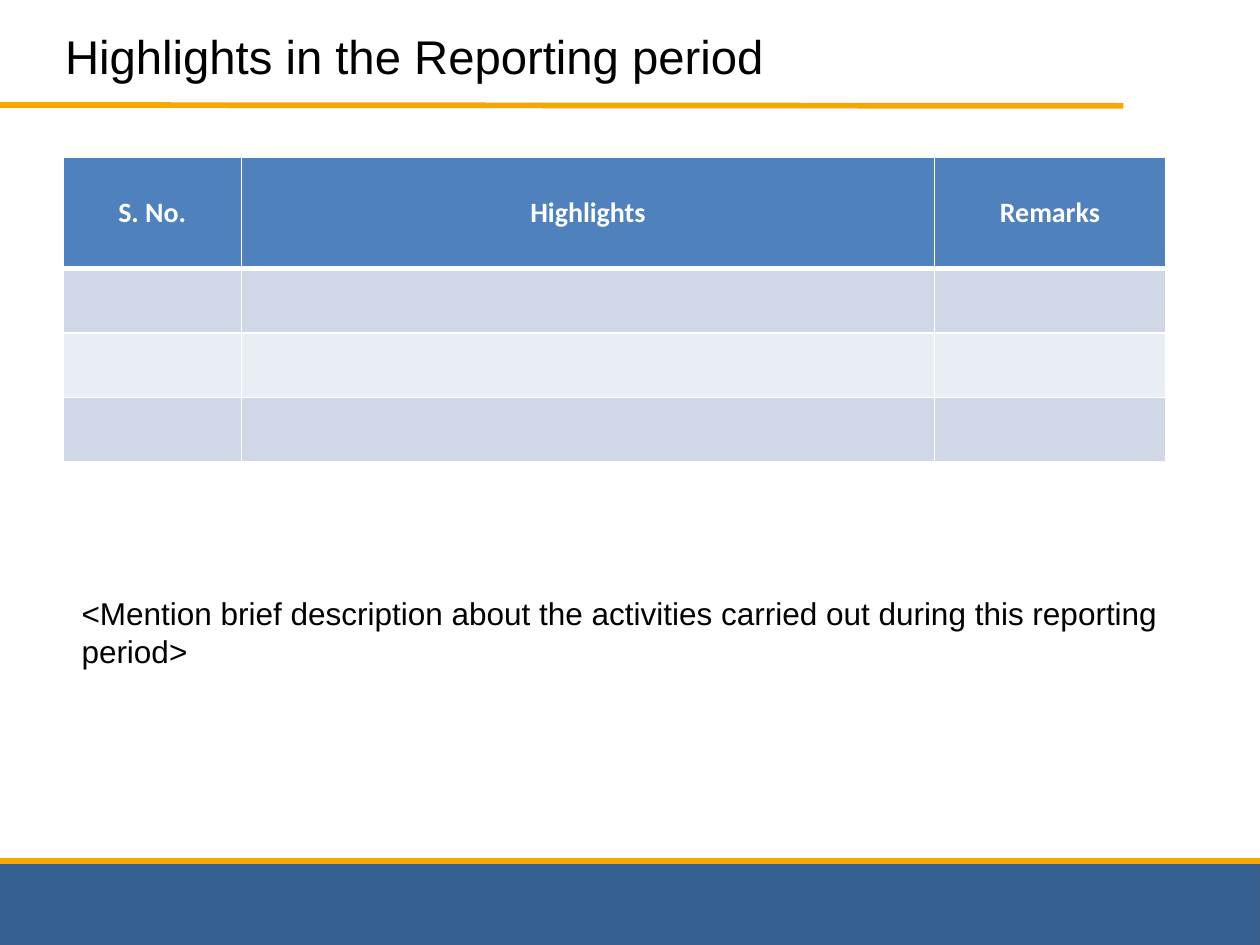
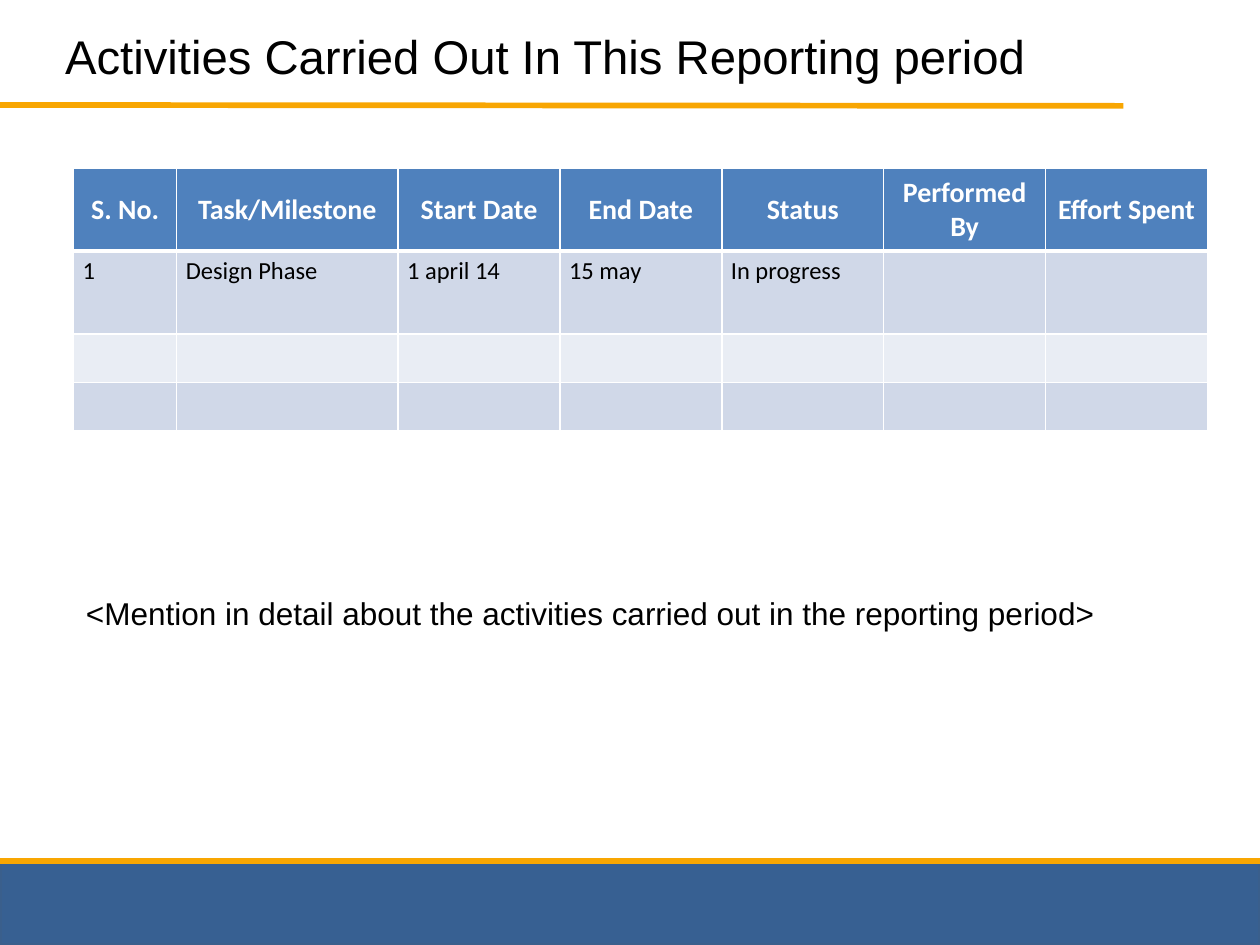
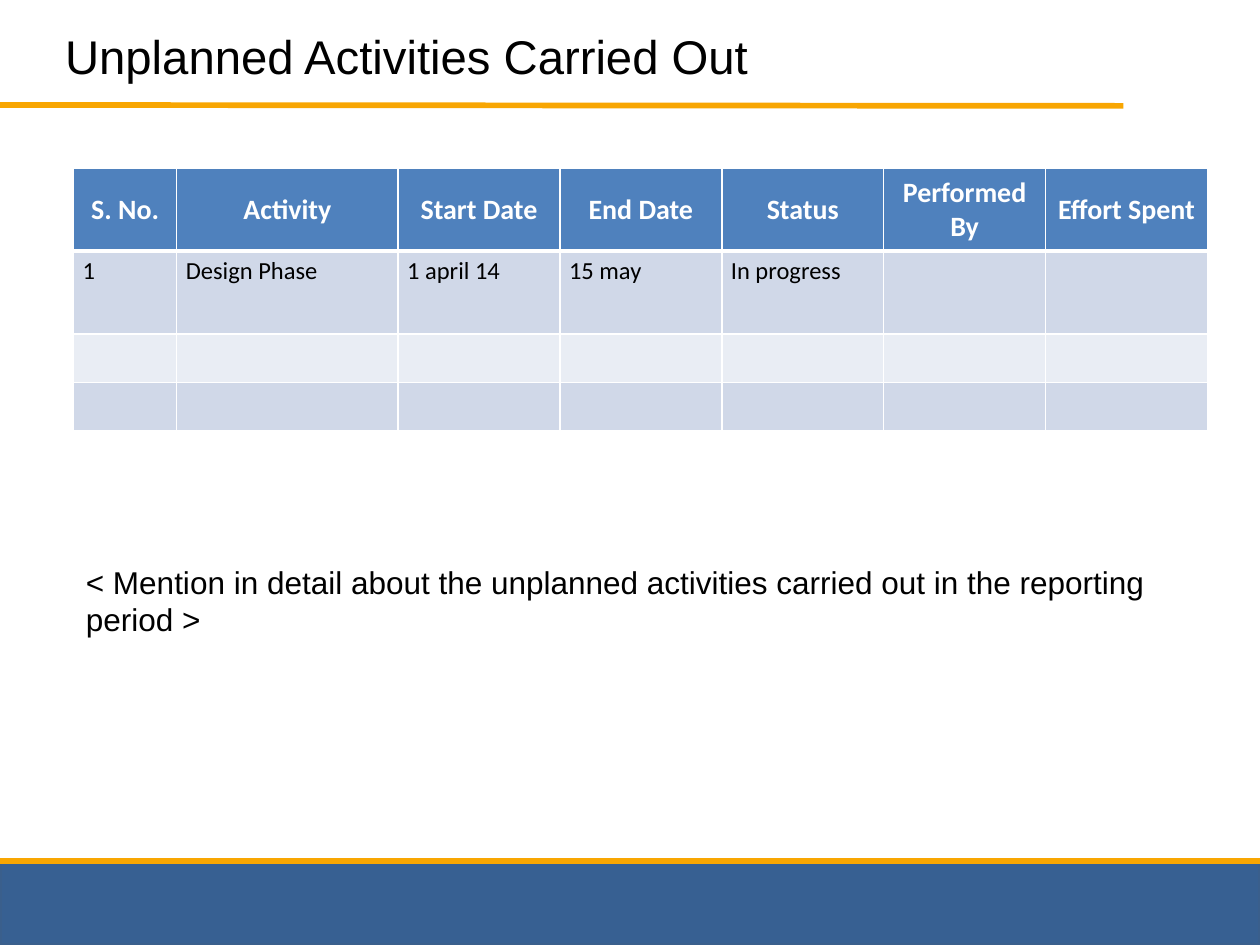
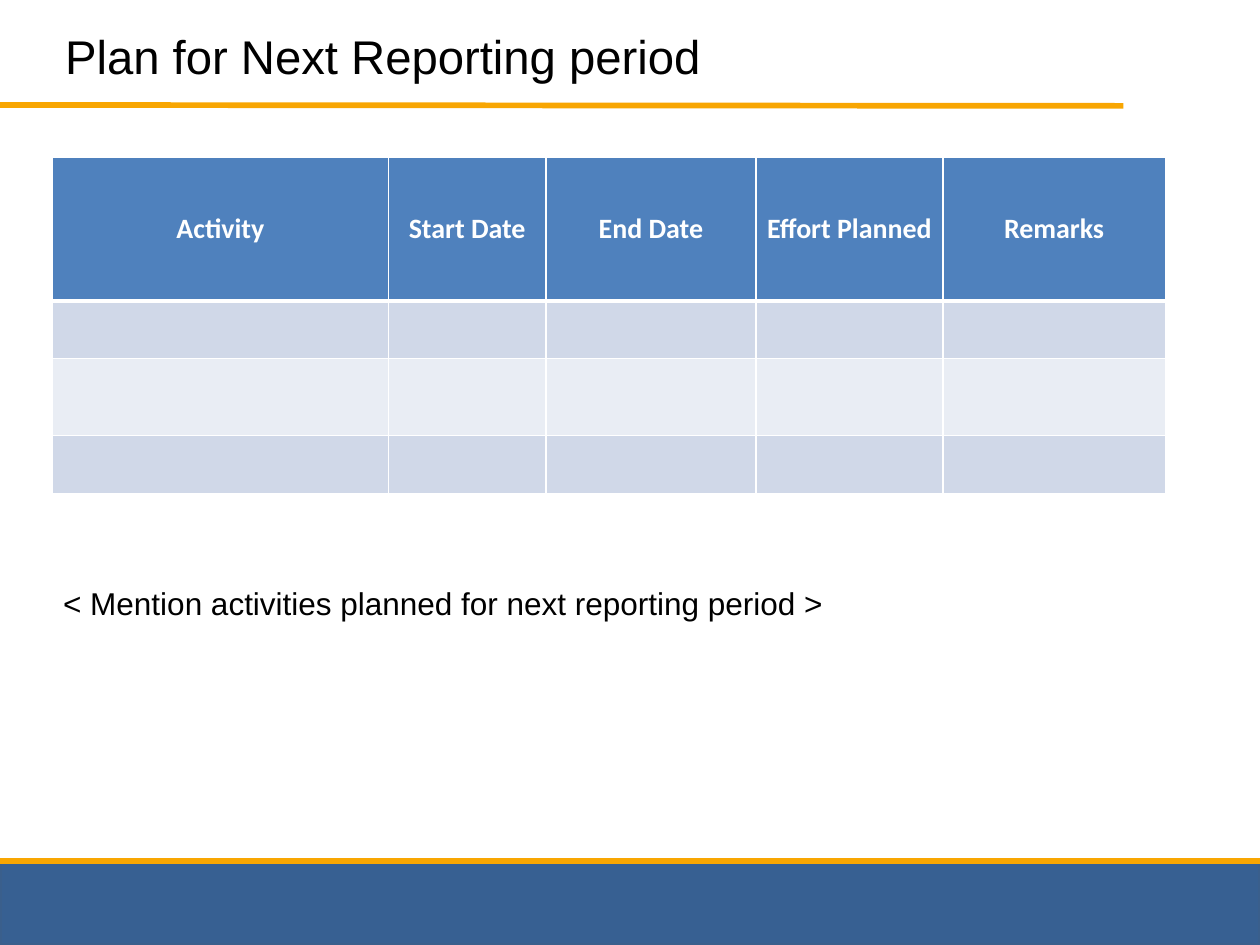
from dataclasses import dataclass

from lxml import etree
from pptx import Presentation
from pptx.dml.color import RGBColor
from pptx.enum.shapes import MSO_CONNECTOR, MSO_SHAPE
from pptx.enum.text import MSO_ANCHOR, PP_ALIGN
from pptx.oxml.ns import qn
from pptx.util import Pt

LEFT, CENTER = PP_ALIGN.LEFT, PP_ALIGN.CENTER
TOP, MIDDLE = MSO_ANCHOR.TOP, MSO_ANCHOR.MIDDLE
RECTANGLE, STRAIGHT = MSO_SHAPE.RECTANGLE, MSO_CONNECTOR.STRAIGHT
TITLE_ONLY = 5
WIDTH, HEIGHT = 720, 540
BAND_TOP = 492


@dataclass(frozen=True)
class Theme:
    ink: str = "000000"
    white: str = "FFFFFF"
    band: str = "376092"
    band_edge: str = "3A5F8C"
    rule: str = "F8A602"
    header: str = "4F81BD"
    row_dark: str = "D0D8E8"
    row_light: str = "E9EDF4"
    text_font: str = "Arial"
    table_font: str = "Calibri"
    title_size: float = 27
    note_size: float = 18
    header_size: float = 16
    cell_size: float = 14
    rule_width: float = 3.25
    band_edge_width: float = 2
    grid_width: float = 1
    header_rule_width: float = 3


def rgb(colour):
    return RGBColor.from_string(colour)


def put_text(frame, text, *, font, size, colour, bold=False, align=LEFT, anchor=TOP):
    """Fill a text frame with one formatted paragraph."""
    frame.word_wrap = True
    frame.vertical_anchor = anchor
    paragraph = frame.paragraphs[0]
    paragraph.alignment = align
    run = paragraph.add_run()
    run.text = text
    run.font.name = font
    run.font.size = Pt(size)
    run.font.bold = bold
    run.font.color.rgb = rgb(colour)


class Deck:
    def __init__(self, theme):
        self.theme = theme
        self.presentation = Presentation()
        self.presentation.slide_width = Pt(WIDTH)
        self.presentation.slide_height = Pt(HEIGHT)
        self.layout = self.presentation.slide_layouts[TITLE_ONLY]
        self.slide = None

    def new_slide(self, title, title_width, title_height=54):
        self.slide = self.presentation.slides.add_slide(self.layout)
        heading = self.slide.shapes.title
        heading.left, heading.top = Pt(30), Pt(12)
        heading.width, heading.height = Pt(title_width), Pt(title_height)
        put_text(heading.text_frame, title, font=self.theme.text_font,
                 size=self.theme.title_size, colour=self.theme.ink)

    def band(self, left, top, width, height):
        band = self.slide.shapes.add_shape(
            RECTANGLE, Pt(left), Pt(top), Pt(width), Pt(height))
        band.shadow.inherit = False
        band.fill.solid()
        band.fill.fore_color.rgb = rgb(self.theme.band)
        band.line.color.rgb = rgb(self.theme.band_edge)
        band.line.width = Pt(self.theme.band_edge_width)
        return band

    def rule(self, x1, y1, x2, y2):
        rule = self.slide.shapes.add_connector(
            STRAIGHT, Pt(x1), Pt(y1), Pt(x2), Pt(y2))
        rule.line.color.rgb = rgb(self.theme.rule)
        rule.line.width = Pt(self.theme.rule_width)
        etree.SubElement(rule.element.spPr, qn("a:effectLst"))
        return rule

    def share_frame(self):
        """Draw the band and rules, then move them to the layout, behind its text."""
        parts = (self.band(0, BAND_TOP, WIDTH, HEIGHT - BAND_TOP),
                 self.rule(0, BAND_TOP, WIDTH, BAND_TOP),
                 self.rule(0, 60, 642, 60.5))
        for index, part in enumerate(parts):
            part.element.xpath(".//p:cNvPr")[0].set("id", str(100 + index))
            self.layout.shapes.element.insert(2 + index, part.element)

    def note(self, text, left, top, width, height):
        note = self.slide.shapes.add_textbox(Pt(left), Pt(top), Pt(width), Pt(height))
        put_text(note.text_frame, text, font=self.theme.text_font,
                 size=self.theme.note_size, colour=self.theme.ink)

    def borders(self, cell, top, bottom):
        properties = cell._tc.get_or_add_tcPr()
        grid = self.theme.grid_width
        for side, width in (("L", grid), ("R", grid), ("T", top), ("B", bottom)):
            line = etree.SubElement(properties, qn(f"a:ln{side}"), w=str(Pt(width)))
            fill = etree.SubElement(line, qn("a:solidFill"))
            etree.SubElement(fill, qn("a:srgbClr"), val=self.theme.white)

    def cell(self, cell, text, row):
        theme = self.theme
        is_header = row == 0
        self.borders(cell,
                     top=theme.header_rule_width if row == 1 else theme.grid_width,
                     bottom=theme.header_rule_width if is_header else theme.grid_width)
        cell.fill.solid()
        body_fill = theme.row_dark if row % 2 else theme.row_light
        cell.fill.fore_color.rgb = rgb(theme.header if is_header else body_fill)
        cell.margin_left = cell.margin_right = Pt(5.2)
        cell.margin_top = cell.margin_bottom = Pt(3)
        if not text:
            # Keep empty rows from growing to the default text size
            etree.SubElement(cell.text_frame.paragraphs[0]._p, qn("a:endParaRPr"),
                             sz=str(int(theme.cell_size * 100)))
            return
        if is_header:
            cell.vertical_anchor = MIDDLE
            style = dict(size=theme.header_size, colour=theme.white, bold=True,
                         align=CENTER, anchor=MIDDLE)
        else:
            style = dict(size=theme.cell_size, colour=theme.ink)
        put_text(cell.text_frame, text, font=theme.table_font, **style)

    def table(self, left, top, widths, heights, rows):
        """Draw a table; rows and cells that are not given stay empty."""
        table = self.slide.shapes.add_table(
            len(heights), len(widths), Pt(left), Pt(top),
            Pt(sum(widths)), Pt(sum(heights))).table
        for column, width in zip(table.columns, widths):
            column.width = Pt(width)
        for row, height in enumerate(heights):
            table.rows[row].height = Pt(height)
            texts = rows[row] if row < len(rows) else ()
            for column in range(len(widths)):
                text = texts[column] if column < len(texts) else ""
                self.cell(table.cell(row, column), text, row)

    def activity_table(self, task_heading):
        self.table(42, 96, [59, 126.5] + [92.5] * 5, [47.5, 47.5, 27.5, 27.5], [
            ("S. No.", task_heading, "Start Date", "End Date", "Status",
             "Performed By", "Effort Spent"),
            ("1", "Design Phase", "1 april 14", "15 may", "In progress"),
        ])


def main():
    deck = Deck(Theme())

    # Highlights
    deck.new_slide("Highlights in the Reporting period", 648)
    deck.share_frame()
    deck.table(36, 90, [102, 396, 132], [63.6] + [36.8] * 3,
               [("S. No.", "Highlights", "Remarks")])
    deck.note("<Mention brief description about the activities carried out "
              "during this reporting period>", 39.5, 336, 636, 51)

    # Planned activities
    deck.new_slide("Activities Carried Out In This Reporting period", 627, 48)
    deck.activity_table("Task/Milestone")
    deck.note("<Mention in detail about the activities carried out "
              "in the reporting period>", 42, 336, 630, 29)

    # Unplanned activities
    deck.new_slide("Unplanned Activities Carried Out", 654)
    deck.activity_table("Activity")
    deck.note("< Mention in detail about the unplanned activities carried out "
              "in the reporting period >", 42, 318, 642, 51)

    # Next period
    deck.new_slide("Plan for Next Reporting period", 636)
    deck.table(30, 90, [192, 90, 120, 106.8, 127.2], [82, 33, 44, 33],
               [("Activity", "Start Date", "End Date", "Effort Planned", "Remarks")])
    deck.note("< Mention activities planned for next reporting period >",
              29, 330, 637, 29)

    deck.presentation.save("out.pptx")


if __name__ == "__main__":
    main()
